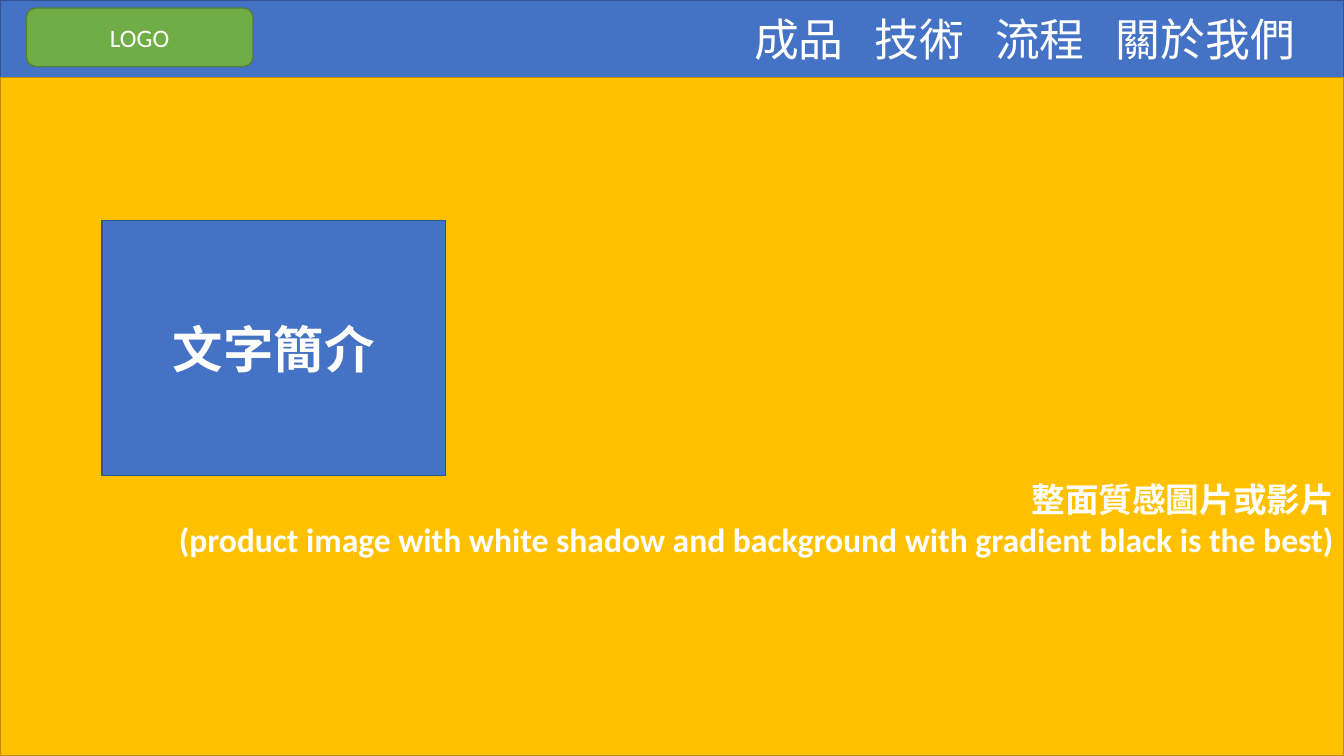
from pptx import Presentation
from pptx.dml.color import RGBColor
from pptx.enum.shapes import MSO_SHAPE
from pptx.enum.text import MSO_ANCHOR, PP_ALIGN
from pptx.util import Inches, Pt
from lxml.etree import SubElement
from pptx.oxml.ns import qn

WIDTH, HEIGHT = 13.33, 7.5
HEADER = 0.77
BLUE, BLUE_EDGE = "4472C4", "325491"


def color(hex_string):
    return RGBColor.from_string(hex_string)


def add_box(page, kind, area, fill, edge, lines, size, bold=False, align=PP_ALIGN.CENTER):
    box = page.shapes.add_shape(kind, *[Inches(length) for length in area])
    box.shadow.inherit = False
    box.fill.solid()
    box.fill.fore_color.rgb = color(fill)
    box.line.color.rgb = color(edge)
    box.line.width = Pt(1)
    frame = box.text_frame
    frame.word_wrap = True
    frame.vertical_anchor = MSO_ANCHOR.MIDDLE
    frame.text = "\n".join(lines)
    for para in frame.paragraphs:
        para.alignment = align
        para.font.name = "Calibri"
        para.font.size = Pt(size)
        para.font.bold = bold
        para.font.color.rgb = color("FFFFFF")
    return box


deck = Presentation()
deck.slide_width, deck.slide_height = Inches(WIDTH), Inches(HEIGHT)
page = deck.slides.add_slide(deck.slide_layouts[6])

# Navigation bar, its entries set on equal tab stops
entries = ["成品", "技術", "流程", "關於我們"]
header = add_box(page, MSO_SHAPE.RECTANGLE, (0, 0, WIDTH, HEADER), BLUE, BLUE_EDGE,
                 ["\t".join(entries)], 32, align=PP_ALIGN.LEFT)
header.text_frame.margin_left = Inches(7.48)
properties = header.text_frame.paragraphs[0]._p.get_or_add_pPr()
tab_list = SubElement(properties, qn("a:tabLst"))
properties.insert(0, tab_list)
for column in range(1, len(entries)):
    SubElement(tab_list, qn("a:tab"), pos=str(Inches(1.195 * column)), algn="l")

# Full-width hero area, its caption below the middle
hero = add_box(page, MSO_SHAPE.RECTANGLE, (0, HEADER, WIDTH, HEIGHT - HEADER), "FFC000", "BD8E00",
               ["整面質感圖片或影片",
                "(product image with white shadow and background with gradient black is the best)"],
               24, bold=True, align=PP_ALIGN.RIGHT)
hero.text_frame.margin_top = Inches(2.08)

# Introduction panel
add_box(page, MSO_SHAPE.RECTANGLE, (1.01, 2.19, 3.41, 2.53), BLUE, BLUE_EDGE,
        ["文字簡介"], 36, bold=True)

# Logo button
add_box(page, MSO_SHAPE.ROUNDED_RECTANGLE, (0.26, 0.08, 2.25, 0.58), "70AD47", "538035",
        ["LOGO"], 18)

deck.save("out.pptx")
